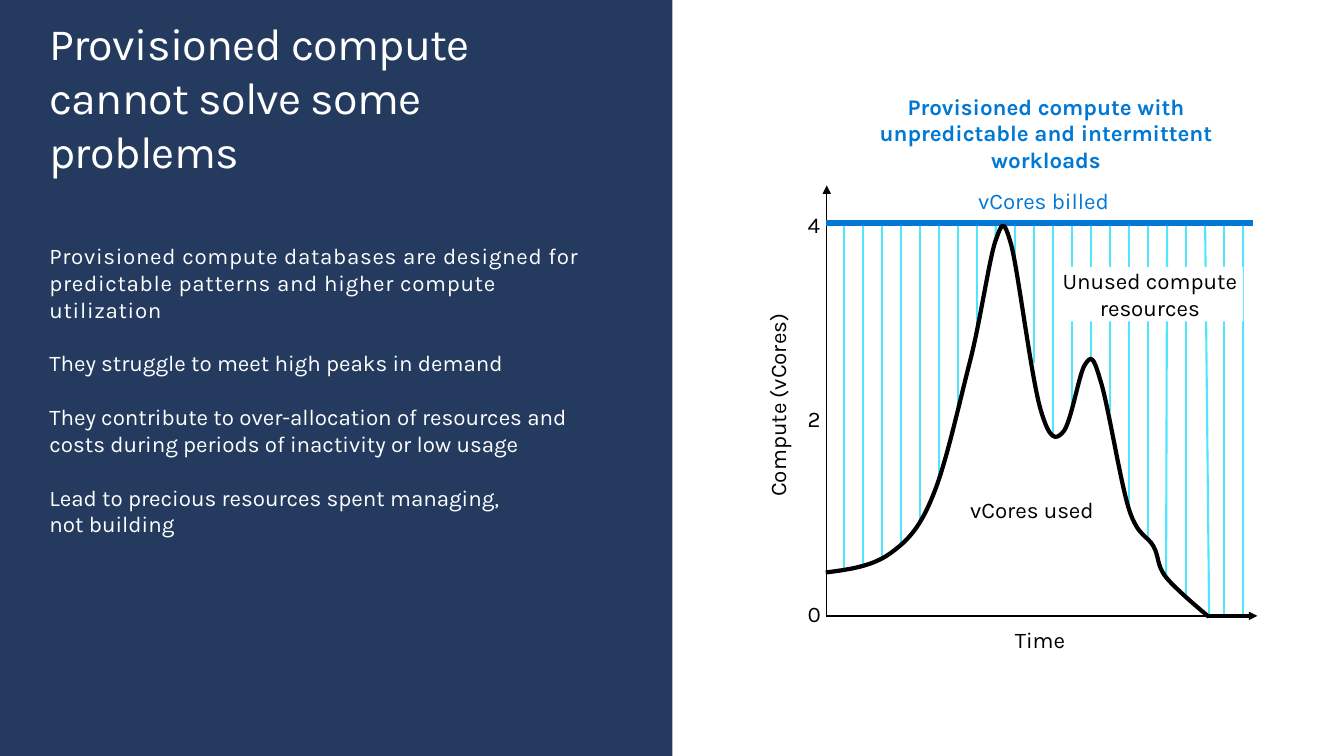
from lxml.etree import SubElement
from pptx import Presentation
from pptx.dml.color import RGBColor
from pptx.enum.shapes import MSO_CONNECTOR, MSO_SHAPE
from pptx.enum.text import MSO_ANCHOR, MSO_AUTO_SIZE, PP_ALIGN
from pptx.oxml.ns import qn
from pptx.util import Inches, Pt

COLORS = {
    "navy": "243A5E",
    "white": "FFFFFF",
    "black": "000000",
    "blue": "0078D4",
    "cyan": "50E6FF",
}


class SlideBuilder:
    font = "Karla"
    size = 16

    def __init__(self, page):
        self.page = page
        self.shapes = page.shapes

    def open_group(self):
        self.shapes = self.page.shapes.add_group_shape().shapes

    def close_group(self):
        self.shapes = self.page.shapes

    def color(self, name):
        return RGBColor.from_string(COLORS[name])

    def rectangle(self, place, fill):
        box = self.shapes.add_shape(MSO_SHAPE.RECTANGLE, *map(Inches, place))
        box.shadow.inherit = False
        box.fill.solid()
        box.fill.fore_color.rgb = self.color(fill)
        box.line.fill.background()
        return box

    def text(self, place, paragraphs, color="black", size=None, align=PP_ALIGN.CENTER,
             anchor=MSO_ANCHOR.TOP, bold=False, fill=None, gap=0, tracking=(),
             margins=(0, 0), rotation=0):
        if fill:
            box = self.rectangle(place, fill)
        else:
            box = self.shapes.add_textbox(*map(Inches, place))
        box.rotation = rotation
        frame = box.text_frame
        frame.word_wrap = True
        frame.auto_size = MSO_AUTO_SIZE.SHAPE_TO_FIT_TEXT
        frame.vertical_anchor = anchor
        frame.margin_left = frame.margin_right = Inches(margins[0])
        frame.margin_top = frame.margin_bottom = Inches(margins[1])
        for index, words in enumerate(paragraphs):
            para = frame.add_paragraph() if index else frame.paragraphs[0]
            para.text = words
            para.alignment = align
            if index and gap:
                para.space_before = Pt(gap)
            para.font.name = self.font
            para.font.size = Pt(size or self.size)
            para.font.bold = bold
            para.font.color.rgb = self.color(color)
            if index < len(tracking):
                for span in para.runs:
                    span._r.get_or_add_rPr().set("spc", str(tracking[index]))
        return box

    def line(self, start, end, color, width, arrow=False):
        connector = self.shapes.add_connector(
            MSO_CONNECTOR.STRAIGHT, *map(Inches, (*start, *end)))
        connector.line.color.rgb = self.color(color)
        connector.line.width = Pt(width)
        if arrow:
            SubElement(connector.line._get_or_add_ln(), qn("a:tailEnd"), type="triangle")
        SubElement(connector._element.spPr, qn("a:effectLst"))
        return connector

    def curve(self, start, controls, color, width):
        builder = self.shapes.build_freeform(*map(Inches, start))
        builder.add_line_segments(
            [(Inches(x), Inches(y)) for x, y in controls], close=False)
        shape = builder.convert_to_shape()
        path = shape._element.find(".//" + qn("a:path"))
        segments = path.findall(qn("a:lnTo"))
        for first in range(0, len(segments), 3):
            bezier = SubElement(path, qn("a:cubicBezTo"))
            for segment in segments[first:first + 3]:
                bezier.append(segment[0])
                path.remove(segment)
        shape.shadow.inherit = False
        shape.fill.background()
        shape.line.color.rgb = self.color(color)
        shape.line.width = Pt(width)
        return shape


HATCH_BOTTOMS = [
    5.66, 5.61, 5.56, 5.39, 5.19, 4.77, 4.09, 3.21, 2.4, 2.58, 3.6,
    4.32, 4.02, 3.54, 4.09, 5.06, 5.33, 5.72, 5.92, 6.12, 6.1, 6.1,
]
HATCH_LEFT, HATCH_RIGHT, HATCH_TOP = 8.37, 12.33, 2.24
HATCH_SLANTS = {8: -0.01, 17: -0.01, 19: 0.04}

USAGE_START = (8.19, 5.68)
USAGE_CONTROLS = [
    (8.42, 5.65), (8.65, 5.62), (8.83, 5.49),
    (9.01, 5.36), (9.13, 5.23), (9.26, 4.9),
    (9.39, 4.58), (9.52, 3.97), (9.63, 3.55),
    (9.73, 3.14), (9.81, 2.59), (9.87, 2.4),
    (9.94, 2.21), (9.95, 2.15), (10.03, 2.43),
    (10.1, 2.7), (10.23, 3.75), (10.32, 4.06),
    (10.41, 4.37), (10.47, 4.37), (10.54, 4.29),
    (10.62, 4.22), (10.7, 3.71), (10.76, 3.62),
    (10.82, 3.53), (10.84, 3.52), (10.91, 3.76),
    (10.99, 4), (11.11, 4.78), (11.2, 5.06),
    (11.29, 5.33), (11.38, 5.31), (11.44, 5.42),
    (11.5, 5.53), (11.47, 5.6), (11.56, 5.72),
    (11.65, 5.84), (11.99, 6.12), (11.99, 6.12),
]


def draw_message(slide):
    slide.rectangle((0, 0, 6.67, 7.5), "navy")
    slide.text((0.49, 0.42, 5.63, 1.08), ["Provisioned compute cannot solve some problems"],
               "white", size=32, align=PP_ALIGN.LEFT, anchor=MSO_ANCHOR.MIDDLE,
               tracking=(-50,))
    slide.text((0.49, 2.4, 5.61, 2.69), [
        "Provisioned compute databases are designed for predictable patterns "
        "and higher compute utilization",
        "They struggle to meet high peaks in demand",
        "They contribute to over-allocation of resources and costs during "
        "periods of inactivity or low usage",
        "Lead to precious resources spent managing,\nnot building",
    ], "white", align=PP_ALIGN.LEFT, gap=19.2, tracking=(50,))


def draw_workload_chart(slide):
    slide.open_group()
    pitch = (HATCH_RIGHT - HATCH_LEFT) / (len(HATCH_BOTTOMS) - 1)
    for index, bottom in enumerate(HATCH_BOTTOMS):
        x = HATCH_LEFT + pitch * index
        slide.line((x, HATCH_TOP), (x + HATCH_SLANTS.get(index, 0), bottom), "cyan", 1.5)

    slide.line((8.2, 6.11), (8.2, 1.84), "black", 1, arrow=True)
    slide.line((8.19, 6.11), (12.47, 6.11), "black", 1, arrow=True)
    slide.text((9.9, 6.21, 0.83, 0.24), ["Time"])
    slide.text((6.63, 3.9, 2.13, 0.24), ["Compute (vCores)"], rotation=270)
    for index, value in enumerate(("4", "2", "0")):
        slide.text((8.01, 2.09 + 1.93 * index, 0.21, 0.24), [value], align=PP_ALIGN.LEFT)

    slide.text((8.21, 1.86, 4.28, 0.27), ["vCores billed"], "blue")
    slide.line((11.97, 6.11), (12.39, 6.11), "black", 3)
    slide.text((9.29, 4.92, 1.89, 0.27), ["vCores used"], fill="white")
    slide.line((8.19, 2.21), (12.43, 2.21), "blue", 4.5)
    slide.curve(USAGE_START, USAGE_CONTROLS, "black", 3)
    slide.text((8.19, 0.87, 4.37, 0.64),
               ["Provisioned compute with unpredictable and intermittent workloads"],
               "blue", bold=True, margins=(0.1, 0.05))
    slide.close_group()
    slide.text((10.48, 2.65, 1.85, 0.54), ["Unused compute resources"], fill="white")


def main():
    deck = Presentation()
    deck.slide_width, deck.slide_height = Inches(13.33), Inches(7.5)
    slide = SlideBuilder(deck.slides.add_slide(deck.slide_layouts[6]))
    draw_message(slide)
    draw_workload_chart(slide)
    deck.save("out.pptx")


if __name__ == "__main__":
    main()
